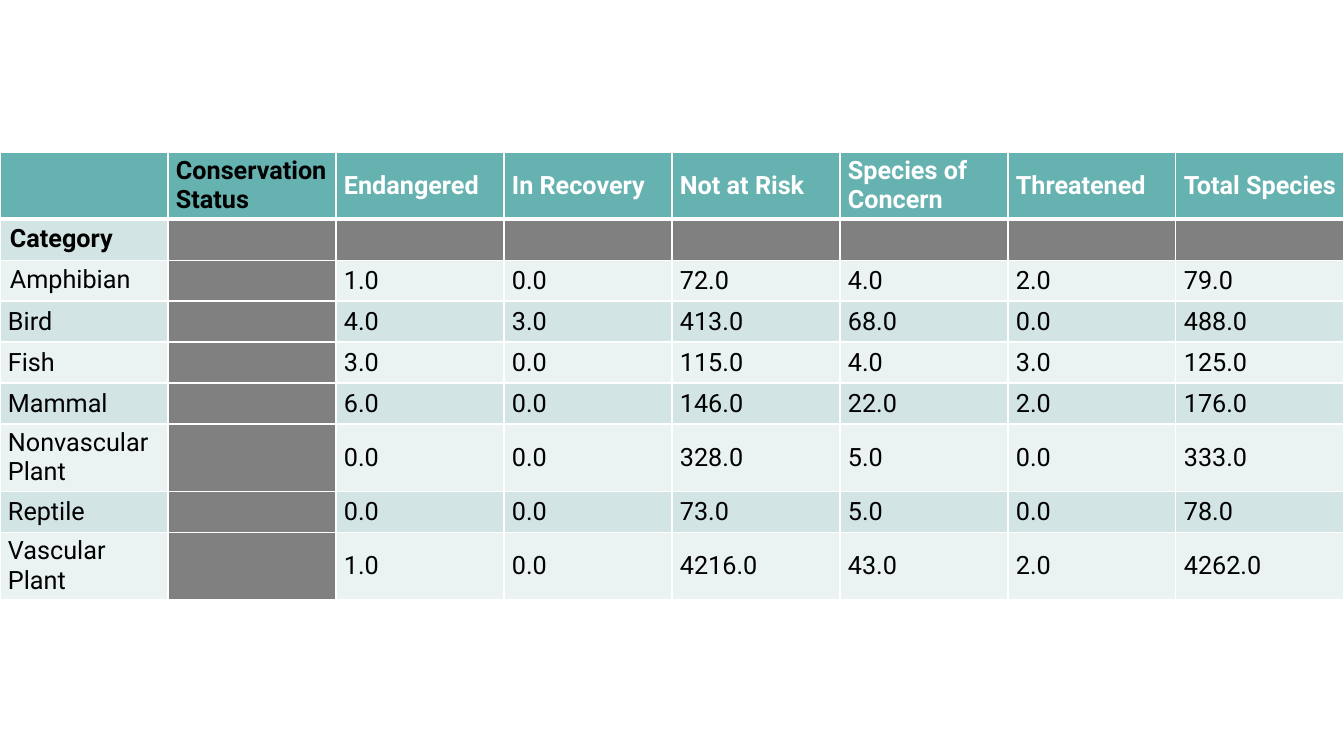
from lxml.etree import SubElement
from pptx import Presentation
from pptx.dml.color import RGBColor
from pptx.enum.text import MSO_ANCHOR as Anchor
from pptx.oxml.ns import qn
from pptx.util import Pt

# Content
STATUSES = ["", "Conservation Status", "Endangered", "In Recovery", "Not at Risk",
            "Species of Concern", "Threatened", "Total Species"]
SPECIES = [
    ("Amphibian", "1.0", "0.0", "72.0", "4.0", "2.0", "79.0"),
    ("Bird", "4.0", "3.0", "413.0", "68.0", "0.0", "488.0"),
    ("Fish", "3.0", "0.0", "115.0", "4.0", "3.0", "125.0"),
    ("Mammal", "6.0", "0.0", "146.0", "22.0", "2.0", "176.0"),
    ("Nonvascular Plant", "0.0", "0.0", "328.0", "5.0", "0.0", "333.0"),
    ("Reptile", "0.0", "0.0", "73.0", "5.0", "0.0", "78.0"),
    ("Vascular Plant", "1.0", "0.0", "4216.0", "43.0", "2.0", "4262.0"),
]
ROWS = [STATUSES, ["Category"] + [""] * 7]
ROWS += [[category, "", *counts] for category, *counts in SPECIES]
TWO_LINE_ROWS = {"", "Nonvascular Plant", "Vascular Plant"}
TOP_ALIGNED = {"Category", "Amphibian"}
BOLD_BLACK = {"Conservation Status", "Category"}

# Colours and sizes
TEAL = RGBColor(0x66, 0xB2, 0xB0)
PALE = RGBColor(0xEA, 0xF2, 0xF2)
TINT = RGBColor(0xD3, 0xE4, 0xE4)
GREY = RGBColor(0x80, 0x80, 0x80)
BLACK = RGBColor(0, 0, 0)
WHITE = RGBColor(255, 255, 255)
SCALE = 914400 / 100.8
WIDTH, HEIGHT, TABLE_TOP = 1344, 756, 152
LINE_ROW, TALL_ROW = 41, 67


def px(length):
    return round(length * SCALE)


def add_borders(cell, row):
    widths = {"lnL": 1, "lnR": 1, "lnT": 3 if row == 1 else 1, "lnB": 3 if row == 0 else 1}
    for side, width in widths.items():
        border = SubElement(cell._tc.get_or_add_tcPr(), qn(f"a:{side}"), w=str(Pt(width)))
        SubElement(SubElement(border, qn("a:solidFill")), qn("a:srgbClr"), val=str(WHITE))


def cell_fill(row, column):
    if row == 0:
        return TEAL
    if column == 1 or (row == 1 and column > 0):
        return GREY
    return TINT if row % 2 else PALE


def format_cell(cell, label, row, column):
    add_borders(cell, row)
    cell.fill.solid()
    cell.fill.fore_color.rgb = cell_fill(row, column)
    at_top = label in TOP_ALIGNED
    side, end = (px(10), px(5)) if at_top else (px(8), px(4))
    layout = {"margin_left": side, "margin_right": side, "margin_top": end,
              "margin_bottom": end, "vertical_anchor": Anchor.TOP if at_top else Anchor.MIDDLE}
    for name, value in layout.items():
        setattr(cell, name, value)
    if not label:
        return
    run = cell.text_frame.paragraphs[0].add_run()
    run.text = label
    style = {"name": "Roboto", "size": Pt(18), "bold": row == 0 or label in BOLD_BLACK}
    for name, value in style.items():
        setattr(run.font, name, value)
    run.font.color.rgb = WHITE if row == 0 and label not in BOLD_BLACK else BLACK


def main():
    deck = Presentation()
    deck.slide_width, deck.slide_height = px(WIDTH), px(HEIGHT)
    slide = deck.slides.add_slide(deck.slide_layouts[6])

    # Species table
    heights = [TALL_ROW if labels[0] in TWO_LINE_ROWS else LINE_ROW for labels in ROWS]
    species_table = slide.shapes.add_table(
        len(ROWS), len(STATUSES), 0, px(TABLE_TOP), px(WIDTH), px(sum(heights))).table
    for column in species_table.columns:
        column.width = px(WIDTH / len(STATUSES))
    for row, labels in enumerate(ROWS):
        species_table.rows[row].height = px(heights[row])
        for column, label in enumerate(labels):
            format_cell(species_table.cell(row, column), label, row, column)

    deck.save("out.pptx")


if __name__ == "__main__":
    main()
